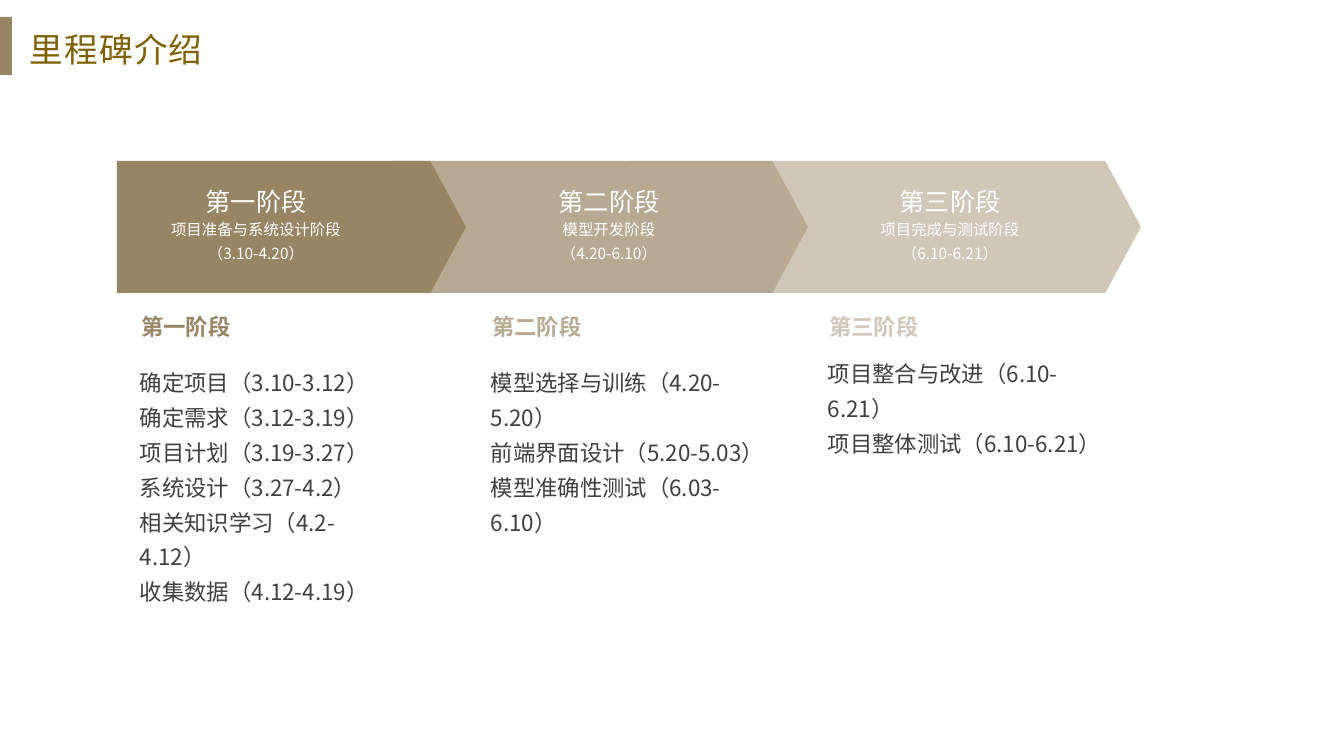
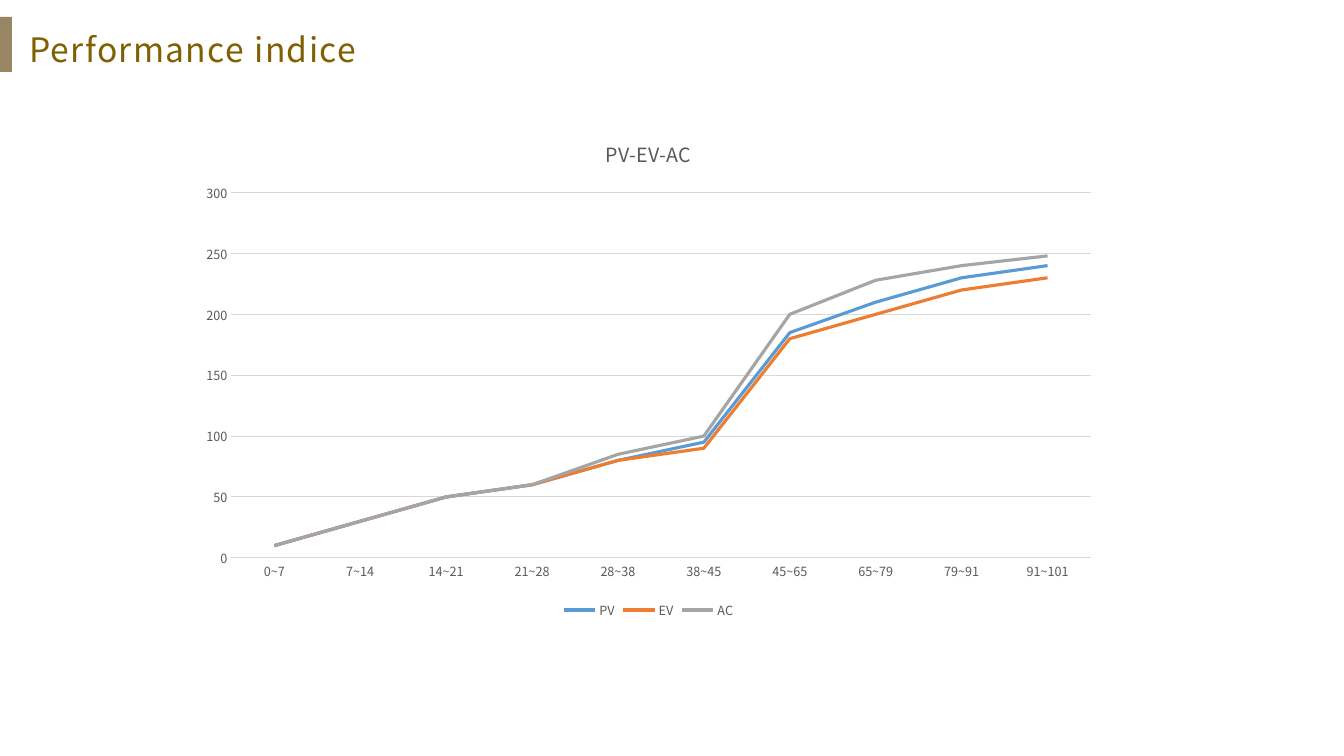
from dataclasses import dataclass
from lxml.etree import SubElement
from pptx import Presentation
from pptx.chart.data import CategoryChartData as ChartData
from pptx.dml.color import RGBColor as Rgb
from pptx.enum.chart import XL_CHART_TYPE as ChartType
from pptx.enum.chart import XL_LEGEND_POSITION as LegendSpot
from pptx.enum.chart import XL_TICK_MARK as TickMark
from pptx.enum.shapes import MSO_SHAPE as Preset
from pptx.enum.text import MSO_ANCHOR as Anchor
from pptx.enum.text import MSO_AUTO_SIZE as AutoSize
from pptx.enum.text import PP_ALIGN as Align
from pptx.oxml.ns import qn
from pptx.util import Pt

PX = 914400 / 100.8


@dataclass(frozen=True)
class Theme:
    font: str = "Noto Sans CJK SC"
    bar: str = "988563"
    title: str = "806000"
    white: str = "FFFFFF"
    body: str = "404040"
    chart_text: str = "595959"
    grid: str = "D9D9D9"
    stages: tuple = ("988563", "B8AA92", "D0C7B8")
    series: tuple = ("5B9BD5", "ED7D31", "A5A5A5")
    title_size: int = 24
    stage_size: int = 18
    body_size: int = 16
    note_size: int = 11
    chart_title_size: int = 14
    label_size: int = 9


class Deck:
    """Hold the theme and the current slide, and draw each kind of element."""

    def __init__(self, theme):
        self.theme = theme
        self.file = Presentation()
        self.file.slide_width, self.file.slide_height = self.emu(1344, 756)
        self.page = None

    def emu(self, *lengths):
        return [round(length * PX) for length in lengths]

    def style(self, font, size, color, bold=False):
        values = {"name": self.theme.font, "size": Pt(size), "bold": bold}
        for name, value in values.items():
            setattr(font, name, value)
        font.color.rgb = Rgb.from_string(color)

    def fill_text(self, box, lines, size, color, align=Align.LEFT, spacing=1.0,
                  bold=False, tracking=0):
        frame = box.text_frame
        values = {"word_wrap": True, "vertical_anchor": Anchor.TOP,
                  "auto_size": AutoSize.SHAPE_TO_FIT_TEXT}
        for name, value in values.items():
            setattr(frame, name, value)
        for index, line in enumerate(lines):
            para = frame.add_paragraph() if index else frame.paragraphs[0]
            para.alignment = align
            para.line_spacing = spacing
            span = para.add_run()
            span.text = line
            self.style(span.font, size, color, bold)
            props = span._r.get_or_add_rPr()
            SubElement(props, qn("a:ea")).set("typeface", self.theme.font)
            if tracking:
                props.set("spc", str(tracking * 100))

    def new_page(self, title, title_width, bar_height):
        self.page = self.file.slides.add_slide(self.file.slide_layouts[5])
        self.block(Preset.RECTANGLE, (0, 17, 12, bar_height), self.theme.bar)
        box = self.page.shapes.title
        box.left, box.top, box.width, box.height = self.emu(19, 16, title_width, 55)
        self.fill_text(box, [title], self.theme.title_size, self.theme.title,
                       spacing=1.2, tracking=1)

    def block(self, preset, place, color):
        shape = self.page.shapes.add_shape(preset, *self.emu(*place))
        shape.shadow.inherit = False
        shape.fill.solid()
        shape.fill.fore_color.rgb = Rgb.from_string(color)
        shape.line.fill.background()
        return shape

    def text(self, place, lines, size, color, **options):
        box = self.page.shapes.add_textbox(*self.emu(*place))
        self.fill_text(box, lines, size, color, **options)

    def line_chart(self, place, title, categories, series):
        theme = self.theme
        data = ChartData()
        data.categories = categories
        for name, values in series.items():
            data.add_series(name, values)
        chart = self.page.shapes.add_chart(
            ChartType.LINE, *self.emu(*place), data).chart
        self.style(chart.font, theme.label_size, theme.chart_text)
        chart.has_title = True
        heading = chart.chart_title.text_frame
        heading.text = title
        self.style(heading.paragraphs[0].runs[0].font,
                   theme.chart_title_size, theme.chart_text)
        chart.has_legend = True
        chart.legend.position = LegendSpot.BOTTOM
        chart.legend.include_in_layout = False
        for axis in (chart.category_axis, chart.value_axis):
            axis.major_tick_mark = axis.minor_tick_mark = TickMark.NONE
            self.style(axis.tick_labels.font, theme.label_size, theme.chart_text)
        scale = {"minimum_scale": 0, "maximum_scale": 300, "major_unit": 50}
        for name, value in scale.items():
            setattr(chart.value_axis, name, value)
        chart.value_axis.format.line.fill.background()
        grid = chart.value_axis.major_gridlines.format.line
        for line in (grid, chart.category_axis.format.line):
            line.color.rgb = Rgb.from_string(theme.grid)
            line.width = Pt(0.75)
        plot = chart.plots[0]
        plot.vary_by_categories = False
        for curve, color in zip(plot.series, theme.series):
            curve.smooth = False
            curve.format.line.color.rgb = Rgb.from_string(color)
            curve.format.line.width = Pt(2.25)


STAGES = [
    {"name": "第一阶段", "note": ["项目准备与系统设计阶段", "（3.10-4.20）"],
     "plate": (117, 349), "center": 256, "column": 130, "list": (356, 268),
     "tasks": ["确定项目（3.10-3.12）", "确定需求（3.12-3.19）",
               "项目计划（3.19-3.27）", "系统设计（3.27-4.2）",
               "相关知识学习（4.2-4.12）", "收集数据（4.12-4.19）"]},
    {"name": "第二阶段", "note": ["模型开发阶段", "（4.20-6.10）"],
     "plate": (391, 417), "center": 609, "column": 481, "list": (356, 305),
     "tasks": ["模型选择与训练（4.20-5.20）", "前端界面设计（5.20-5.03）",
               "模型准确性测试（6.03-6.10）"]},
    {"name": "第三阶段", "note": ["项目完成与测试阶段", "（6.10-6.21）"],
     "plate": (629, 512), "center": 950, "column": 818, "list": (347, 313),
     "tasks": ["项目整合与改进（6.10-6.21）", "项目整体测试（6.10-6.21）"]},
]
PERIODS = ["0~7", "7~14", "14~21", "21~28", "28~38",
           "38~45", "45~65", "65~79", "79~91", "91~101"]
SERIES = {
    "PV": [10, 30, 50, 60, 80, 95, 185, 210, 230, 240],
    "EV": [10, 30, 50, 60, 80, 90, 180, 200, 220, 230],
    "AC": [10, 30, 50, 60, 85, 100, 200, 228, 240, 248],
}


def milestones(deck):
    """Draw the three overlapping stages and their task lists."""
    theme = deck.theme
    deck.new_page("里程碑介绍", 417, 58)
    stages = list(zip(STAGES, theme.stages))
    for stage, color in reversed(stages):
        left, width = stage["plate"]
        plate = deck.block(Preset.PENTAGON, (left, 161, width, 132), color)
        plate.adjustments[0] = 0.27
    for stage, color in stages:
        center, column = stage["center"], stage["column"]
        top, width = stage["list"]
        deck.text((center - 98, 210, 196, 56), stage["note"], theme.note_size,
                  theme.white, align=Align.CENTER, spacing=1.3)
        deck.text((center - 92, 181, 184, 40), [stage["name"]], theme.stage_size,
                  theme.white, align=Align.CENTER)
        deck.text((column, top, width, 35 * len(stage["tasks"]) + 10),
                  stage["tasks"], theme.body_size, theme.body, spacing=1.3)
        deck.text((column, 308, 112, 37), [stage["name"]], theme.body_size,
                  color, align=Align.CENTER, bold=True)


def performance(deck):
    """Draw the chart of planned value, earned value and actual cost."""
    deck.new_page("Performance indice", 762, 55)
    deck.line_chart((188, 118, 921, 505), "PV-EV-AC", PERIODS, SERIES)


def main():
    """Build and save both slides."""
    deck = Deck(Theme())
    milestones(deck)
    performance(deck)
    deck.file.save("out.pptx")


if __name__ == "__main__":
    main()
